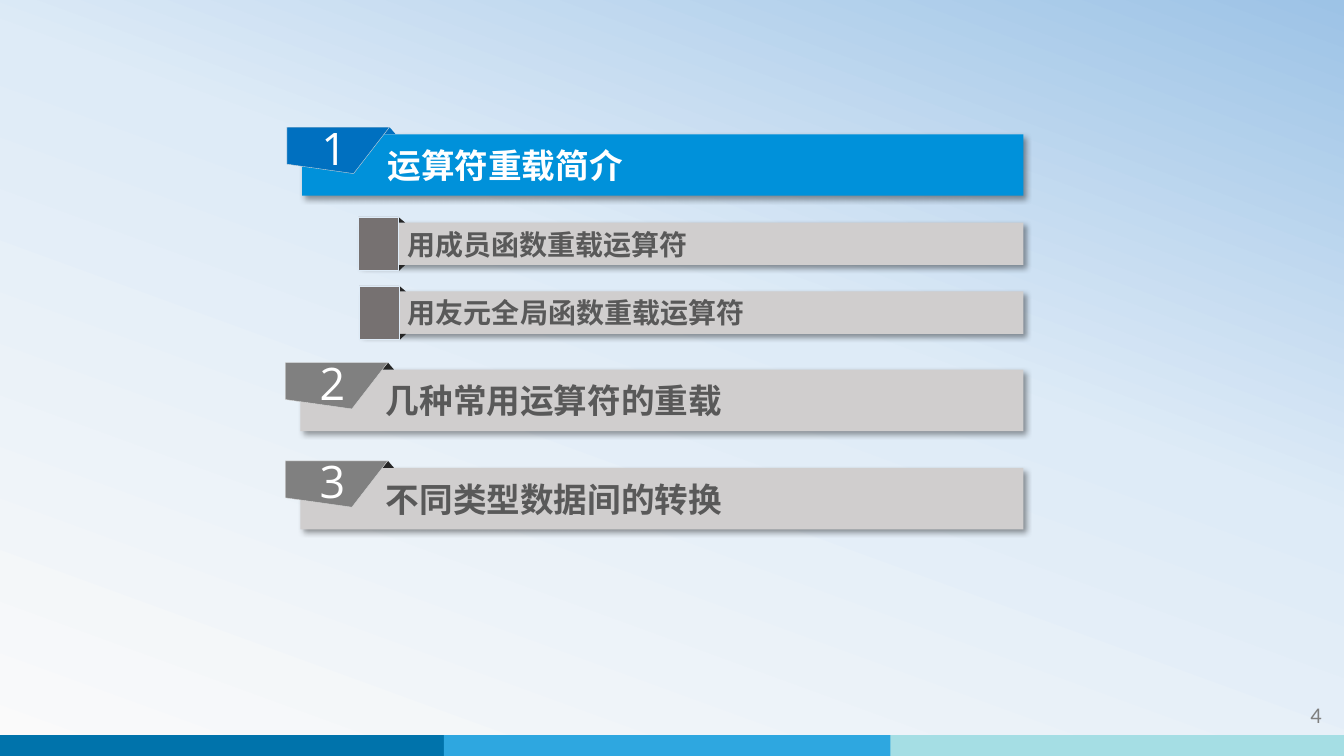
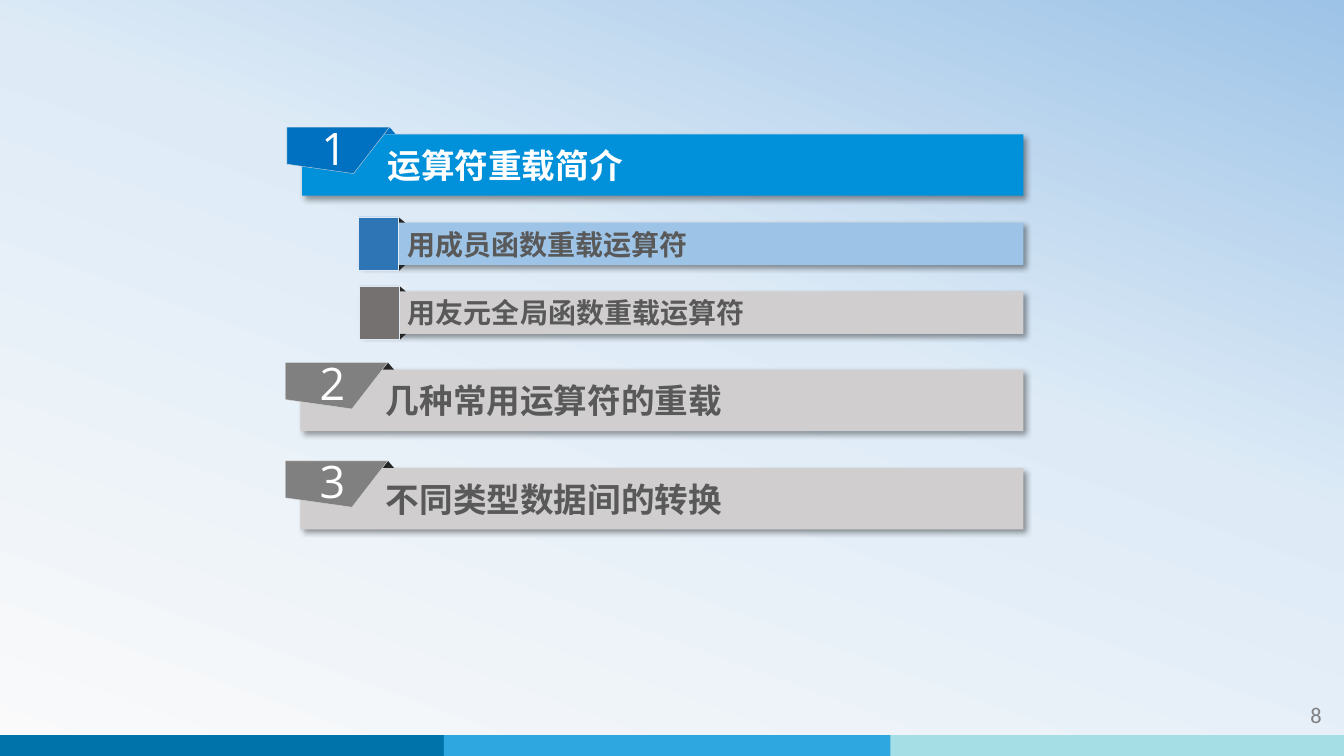
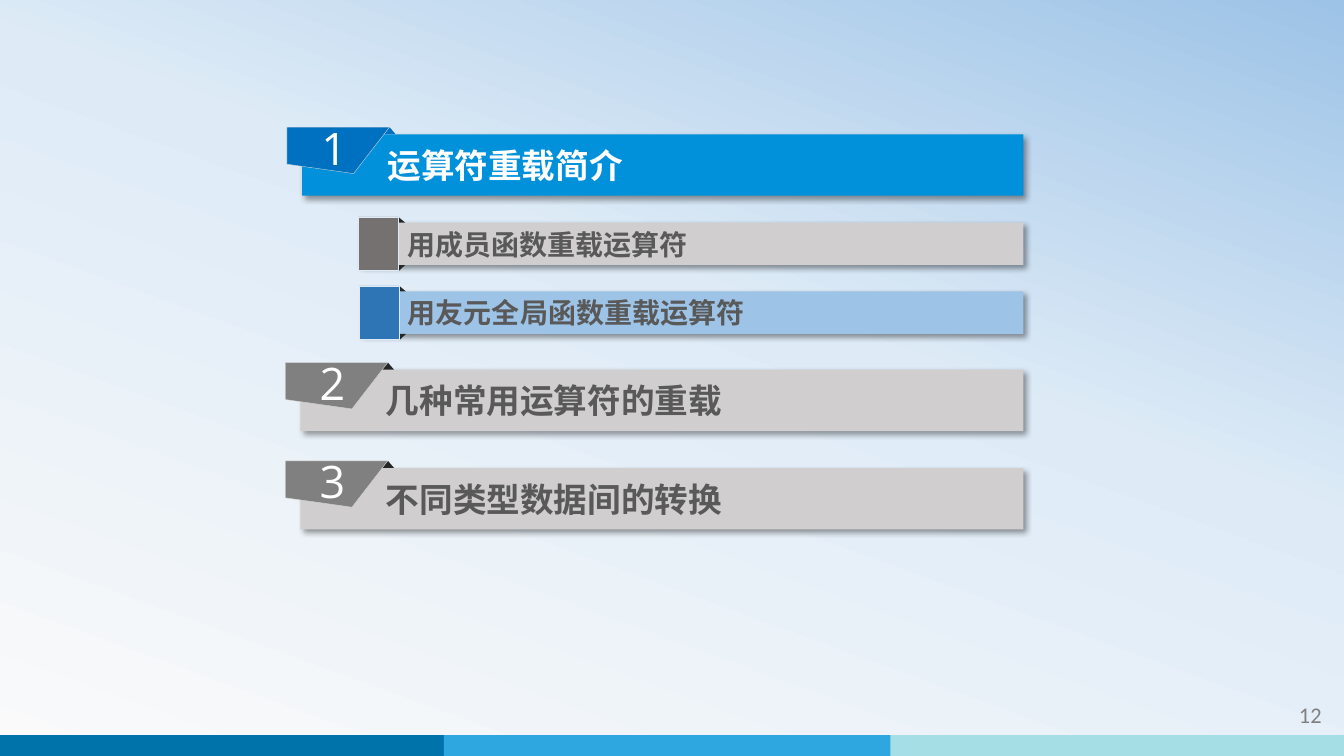
"""Builds three agenda slides on operator overloading."""
from copy import deepcopy
from dataclasses import dataclass
from typing import Optional

from lxml import etree
from pptx import Presentation
from pptx.dml.color import RGBColor
from pptx.enum.shapes import MSO_SHAPE
from pptx.enum.text import MSO_ANCHOR, PP_ALIGN
from pptx.oxml.ns import qn
from pptx.presentation import Presentation as Deck
from pptx.shapes.autoshape import Shape
from pptx.shapes.shapetree import GroupShapes
from pptx.slide import Slide
from pptx.util import Pt

RECT, TRIANGLE = MSO_SHAPE.RECTANGLE, MSO_SHAPE.ISOSCELES_TRIANGLE
LEFT, CENTER, RIGHT = PP_ALIGN.LEFT, PP_ALIGN.CENTER, PP_ALIGN.RIGHT
MIDDLE = MSO_ANCHOR.MIDDLE

BLACK = RGBColor(0x00, 0x00, 0x00)
WHITE = RGBColor(0xFF, 0xFF, 0xFF)
FOLD = RGBColor(0x26, 0x26, 0x26)
TEXT = RGBColor(0x59, 0x59, 0x59)
BAR_GRAY = RGBColor(0xD0, 0xCE, 0xCE)
TAB_GRAY = RGBColor(0x80, 0x80, 0x80)
TAB_EDGE = RGBColor(0xD9, 0xD9, 0xD9)
MARK_GRAY = RGBColor(0x76, 0x71, 0x71)
BLUE = RGBColor(0x00, 0x91, 0xDA)
DEEP_BLUE = RGBColor(0x00, 0x70, 0xC0)
MARK_BLUE = RGBColor(0x2E, 0x75, 0xB6)
SKY = RGBColor(0x9D, 0xC3, 0xE6)
PALE = RGBColor(0xDE, 0xEB, 0xF7)
BANDS = (RGBColor(0x00, 0x73, 0xAB), RGBColor(0x2E, 0xA7, 0xE0), RGBColor(0xA5, 0xDE, 0xE4))
BACKGROUND = ((0, RGBColor(0xFA, 0xFA, 0xFA)), (0.58, PALE), (1, SKY))

CJK, DIGITS, FOOTER = "Noto Sans CJK SC", "Open Sans", "Calibri"
BAND_LEFT, BAND_STEP, BAND_W = -2, 319, 324
BAR_RIGHT = 731


@dataclass(frozen=True)
class Section:
    number: str
    title: str
    left: float
    top: float
    bar: RGBColor = BAR_GRAY
    tab: RGBColor = TAB_GRAY
    fold: RGBColor = FOLD
    text: RGBColor = TEXT


@dataclass(frozen=True)
class Topic:
    title: str
    left: float
    top: float


@dataclass(frozen=True)
class Page:
    number: str
    active: Optional[Topic]


SECTIONS = (
    Section("1", "运算符重载简介", 205, 90.9, BLUE, DEEP_BLUE, DEEP_BLUE, WHITE),
    Section("2", "几种常用运算符的重载", 203.8, 259),
    Section("3", "不同类型数据间的转换", 203.8, 329.2),
)
MEMBER = Topic("用成员函数重载运算符", 256.8, 159)
FRIEND = Topic("用友元全局函数重载运算符", 257.4, 208.2)
PAGES = (Page("4", None), Page("8", MEMBER), Page("12", FRIEND))


def write(sp: Shape, text: str, size: float, font: str, color: RGBColor,
          align: PP_ALIGN, bold: bool = False) -> None:
    tf = sp.text_frame
    tf.word_wrap = True
    p = tf.paragraphs[0]
    p.alignment = align
    r = p.add_run()
    r.text = text
    r.font.size, r.font.bold, r.font.name = Pt(size), bold, font
    r.font.color.rgb = color
    etree.SubElement(r.font._element, qn("a:ea"), typeface=font)


def paint(sp: Shape, fill: RGBColor, edge: Optional[RGBColor] = None) -> None:
    sp.shadow.inherit = False
    sp.fill.solid()
    sp.fill.fore_color.rgb = fill
    if edge is None:
        sp.line.fill.background()
    else:
        sp.line.color.rgb = edge
        sp.line.width = Pt(0.25)


def block(shapes: GroupShapes, kind: MSO_SHAPE, left: float, top: float, width: float,
          height: float, fill: RGBColor, edge: Optional[RGBColor] = None) -> Shape:
    sp = shapes.add_shape(kind, Pt(left), Pt(top), Pt(width), Pt(height))
    paint(sp, fill, edge)
    return sp


def title_bar(shapes: GroupShapes, title: str, left: float, top: float, height: float,
              indent: float, size: float, fill: RGBColor, color: RGBColor) -> None:
    sp = block(shapes, RECT, left, top, BAR_RIGHT - left, height, fill)
    effects = sp._element.spPr.find(qn("a:effectLst"))
    shadow = etree.SubElement(effects, qn("a:outerShdw"), blurRad=str(Pt(4)), dist=str(Pt(3)),
                              dir=str(45 * 60000), algn="tl", rotWithShape="0")
    black = etree.SubElement(shadow, qn("a:srgbClr"), val=str(BLACK))
    etree.SubElement(black, qn("a:alpha"), val="40000")
    sp.text_frame.vertical_anchor = MIDDLE
    sp.text_frame.margin_left = Pt(indent)
    write(sp, title, size, CJK, color, LEFT, True)


def draw_section(s: Slide, item: Section) -> None:
    shapes = s.shapes.add_group_shape().shapes
    x, y = item.left, item.top
    title_bar(shapes, item.title, x + 10.8, y + 5, 43.9, 61, 24, item.bar, item.text)
    block(shapes, TRIANGLE, x + 69, y, 8.6, 5, item.fold)
    outline = shapes.build_freeform(Pt(x), Pt(y))
    corners = ((73.2, 0), (47.6, 33.1), (0, 26.4))
    outline.add_line_segments([(Pt(x + dx), Pt(y + dy)) for dx, dy in corners])
    sp = outline.convert_to_shape()
    paint(sp, item.tab, TAB_EDGE)
    tf = sp.text_frame
    tf.vertical_anchor = MIDDLE
    tf.margin_left, tf.margin_top = Pt(6.5), Pt(2.9)
    tf.margin_right, tf.margin_bottom = Pt(12.2), Pt(7.2)
    write(sp, item.number, 32, DIGITS, WHITE, CENTER)


def draw_topic(s: Slide, item: Topic, active: bool) -> None:
    shapes = s.shapes.add_group_shape().shapes
    x, y, height = item.left, item.top, 30.3
    bar, mark = (SKY, MARK_BLUE) if active else (BAR_GRAY, MARK_GRAY)
    title_bar(shapes, item.title, x, y, height, 34, 20, bar, TEXT)
    block(shapes, TRIANGLE, x + 24, y - 3.6, 8.6, 3.6, FOLD)
    block(shapes, TRIANGLE, x + 24, y + height, 8.6, 4, FOLD).rotation = 180
    block(shapes, RECT, x - 0.8, y - 4, 28.8, 38, mark, PALE)


def draw_footer(s: Slide, number: str) -> None:
    shapes = s.shapes.add_group_shape().shapes
    for i, color in enumerate(BANDS):
        block(shapes, RECT, BAND_LEFT + i * BAND_STEP, 525, BAND_W, 15, color)
    sp = s.shapes.add_textbox(Pt(836.6), Pt(497.5), Pt(114.5), Pt(28.8))
    write(sp, number, 16, FOOTER, TAB_GRAY, RIGHT)


def set_background(prs: Deck) -> None:
    fill = prs.slide_master.background.fill
    fill.gradient()
    fill.gradient_angle = 70
    stops = prs.slide_master.element.find(".//" + qn("p:bg")).find(".//" + qn("a:gsLst"))
    stops.append(deepcopy(stops[-1]))
    for stop, (position, color) in zip(fill.gradient_stops, BACKGROUND):
        stop.position = position
        stop.color.rgb = color


def main() -> None:
    prs = Presentation()
    prs.slide_width, prs.slide_height = Pt(960), Pt(540)
    set_background(prs)
    for page in PAGES:
        s = prs.slides.add_slide(prs.slide_layouts[6])
        draw_footer(s, page.number)
        for section in SECTIONS:
            draw_section(s, section)
        for topic in (MEMBER, FRIEND):
            draw_topic(s, topic, topic is page.active)
    prs.save("out.pptx")


if __name__ == "__main__":
    main()
